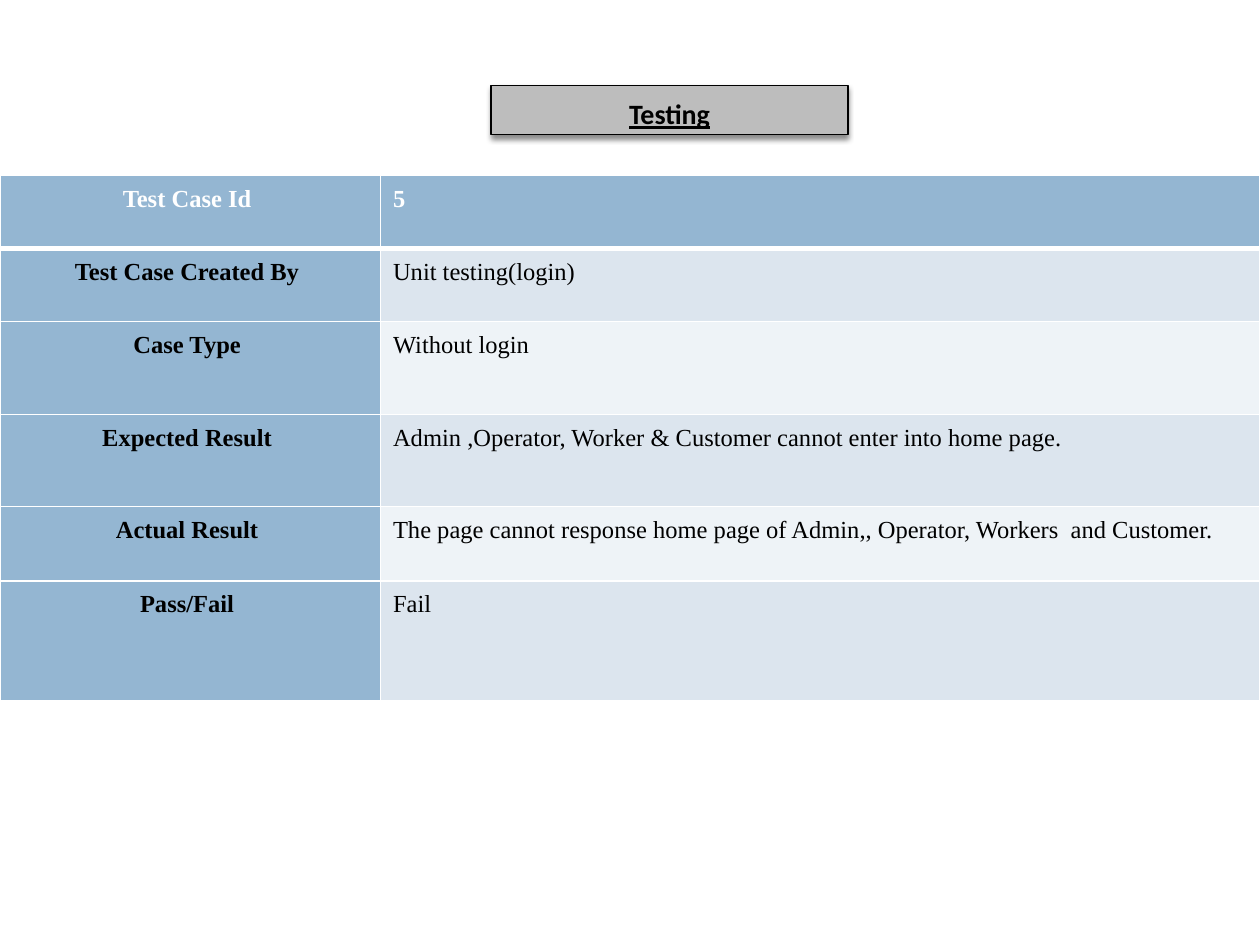
"""Build the test case slide: a title plate above a two-column result table."""
from dataclasses import dataclass

from lxml import etree
from pptx import Presentation
from pptx.dml.color import RGBColor
from pptx.enum.shapes import MSO_SHAPE
from pptx.enum.text import MSO_ANCHOR, PP_ALIGN
from pptx.oxml import parse_xml
from pptx.oxml.ns import nsdecls, qn
from pptx.slide import Slide
from pptx.table import _Cell
from pptx.text.text import _Paragraph
from pptx.util import Pt

RECTANGLE = MSO_SHAPE.RECTANGLE
TOP = MSO_ANCHOR.TOP
LEFT, CENTER = PP_ALIGN.LEFT, PP_ALIGN.CENTER


@dataclass(frozen=True)
class Theme:
    """Colours, fonts and sizes of the slide."""
    accent: str = "94B6D2"
    bands: tuple[str, str] = ("DCE5EE", "EEF3F7")
    plate: str = "BDBDBD"
    ink: str = "000000"
    paper: str = "FFFFFF"
    title_font: str = "Calibri"
    table_font: str = "Times New Roman"
    title_size: float = 16
    table_size: float = 14
    line_spacing: float = 1.15
    rule: float = 1
    header_rule: float = 3


@dataclass(frozen=True)
class TestField:
    """One table row: its label, its value and its height."""
    label: str
    value: str
    height: float


THEME = Theme()
COLUMN_WIDTHS = (217.4, 502.6)
FIELDS = (
    TestField("Test Case Id ", "5", 41.8),
    TestField("Test Case Created By ", "Unit testing(login)", 41.8),
    TestField("Case Type ", "Without login", 53.2),
    TestField("Expected Result ", "Admin ,Operator, Worker & Customer cannot enter into home page.", 52.6),
    TestField("Actual Result ", "The page cannot response home page of Admin,, Operator, Workers  and Customer.", 42.4),
    TestField("Pass/Fail ", "Fail", 68.4),
)


def write(para: _Paragraph, text: str, font: str, size: float, color: str,
          bold: bool, align: PP_ALIGN) -> None:
    """Fill a paragraph and format its run."""
    para.text = text
    para.alignment = align
    para.line_spacing = THEME.line_spacing
    span = para.runs[0]
    span.font.name = font
    span.font.size = Pt(size)
    span.font.bold = bold
    span.font.color.rgb = RGBColor.from_string(color)


def add_title(page: Slide, text: str) -> None:
    """Add the title plate with its soft shadow."""
    box = page.shapes.add_shape(RECTANGLE, Pt(280.6), Pt(48.8), Pt(204), Pt(28.2))
    box.fill.solid()
    box.fill.fore_color.rgb = RGBColor.from_string(THEME.plate)
    box.line.color.rgb = RGBColor.from_string(THEME.ink)
    box.line.width = Pt(0.79)
    box.shadow.inherit = False
    effects = box._element.spPr.find(qn("a:effectLst"))
    effects.append(parse_xml(
        f'<a:outerShdw {nsdecls("a")} blurRad="{Pt(3)}" dist="{Pt(2.4)}" dir="5400000" rotWithShape="0">'
        f'<a:srgbClr val="{THEME.ink}"><a:alpha val="45000"/></a:srgbClr></a:outerShdw>'))
    frame = box.text_frame
    frame.word_wrap = True
    frame.vertical_anchor = TOP
    para = frame.paragraphs[0]
    write(para, text, THEME.title_font, THEME.title_size, THEME.ink, True, CENTER)
    para.space_after = Pt(10)
    para.runs[0].font.underline = True


def set_borders(cell: _Cell, top: float, bottom: float) -> None:
    """Draw the four cell borders in the paper colour."""
    properties = cell._tc.get_or_add_tcPr()
    for side, width in (("L", THEME.rule), ("R", THEME.rule), ("T", top), ("B", bottom)):
        border = etree.SubElement(properties, qn(f"a:ln{side}"), w=str(Pt(width)))
        fill = etree.SubElement(border, qn("a:solidFill"))
        etree.SubElement(fill, qn("a:srgbClr"), val=THEME.paper)


def add_results(page: Slide, fields: tuple[TestField, ...]) -> None:
    """Add the table of test case fields."""
    height = sum(field.height for field in fields)
    table = page.shapes.add_table(len(fields), len(COLUMN_WIDTHS), Pt(0), Pt(100.2),
                                  Pt(sum(COLUMN_WIDTHS)), Pt(height)).table
    for column, width in zip(table.columns, COLUMN_WIDTHS):
        column.width = Pt(width)
    for index, field in enumerate(fields):
        table.rows[index].height = Pt(field.height)
        header = index == 0
        color = THEME.paper if header else THEME.ink
        value_fill = THEME.accent if header else THEME.bands[(index - 1) % 2]
        top = THEME.header_rule if index == 1 else THEME.rule
        bottom = THEME.header_rule if header else THEME.rule
        columns = ((field.label, THEME.accent, True, CENTER),
                   (field.value, value_fill, header, LEFT))
        for position, (text, fill, bold, align) in enumerate(columns):
            cell = table.cell(index, position)
            set_borders(cell, top, bottom)
            cell.fill.solid()
            cell.fill.fore_color.rgb = RGBColor.from_string(fill)
            write(cell.text_frame.paragraphs[0], text, THEME.table_font,
                  THEME.table_size, color, bold, align)


def main() -> None:
    """Create the deck and save it."""
    deck = Presentation()
    deck.slide_width, deck.slide_height = Pt(720), Pt(540)
    page = deck.slides.add_slide(deck.slide_layouts[6])
    add_title(page, "Testing")
    add_results(page, FIELDS)
    deck.save("out.pptx")


if __name__ == "__main__":
    main()
